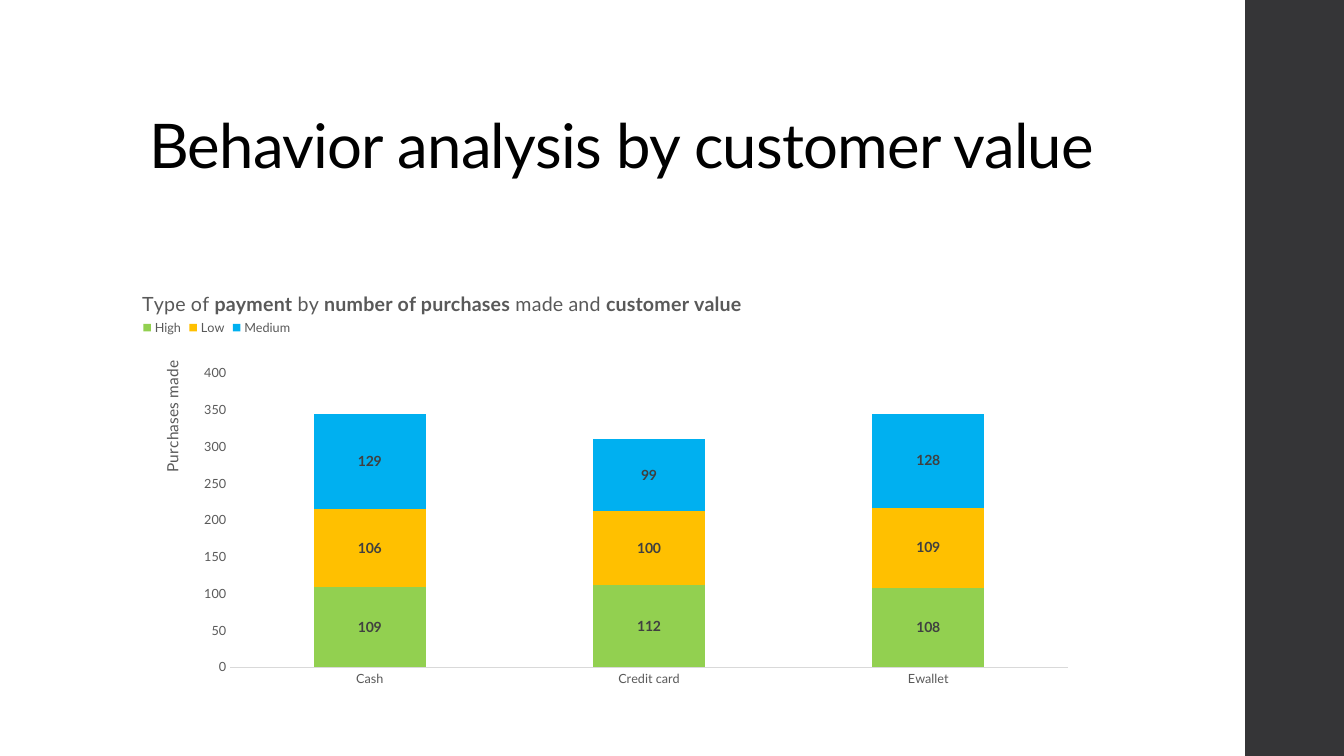
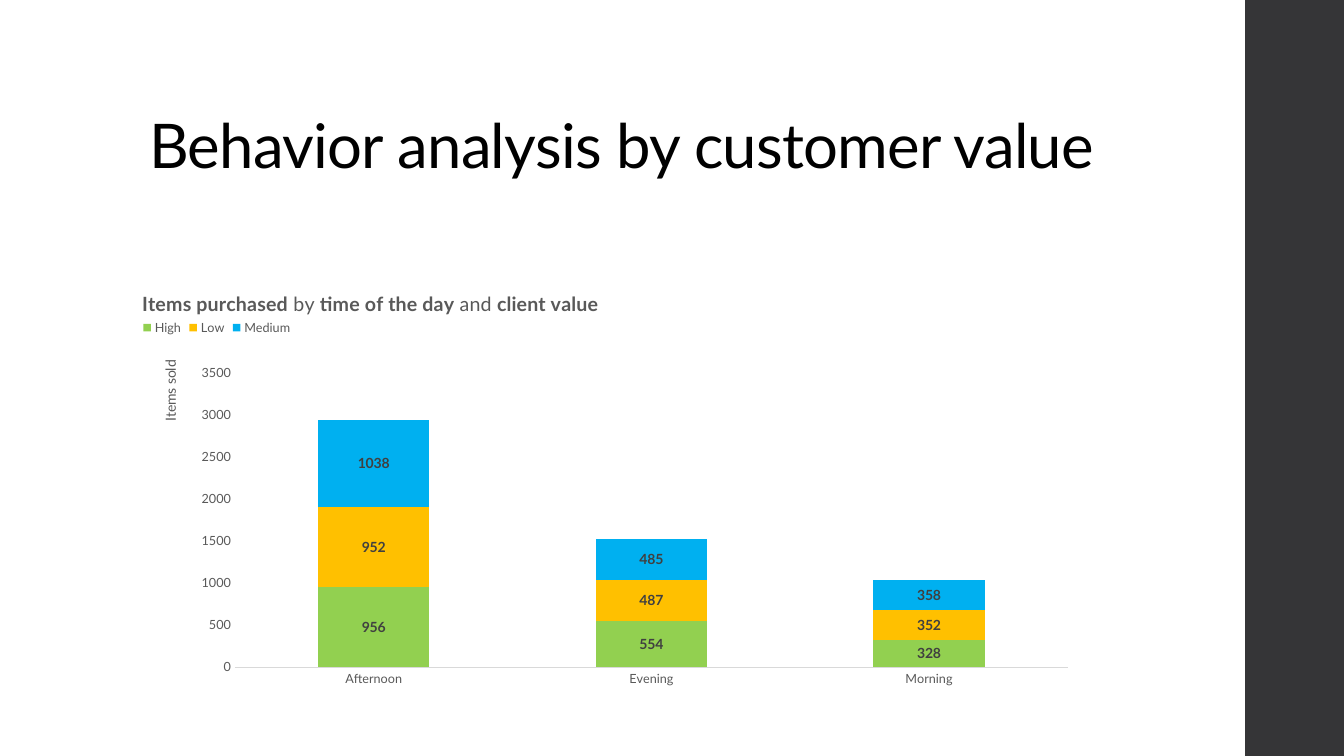
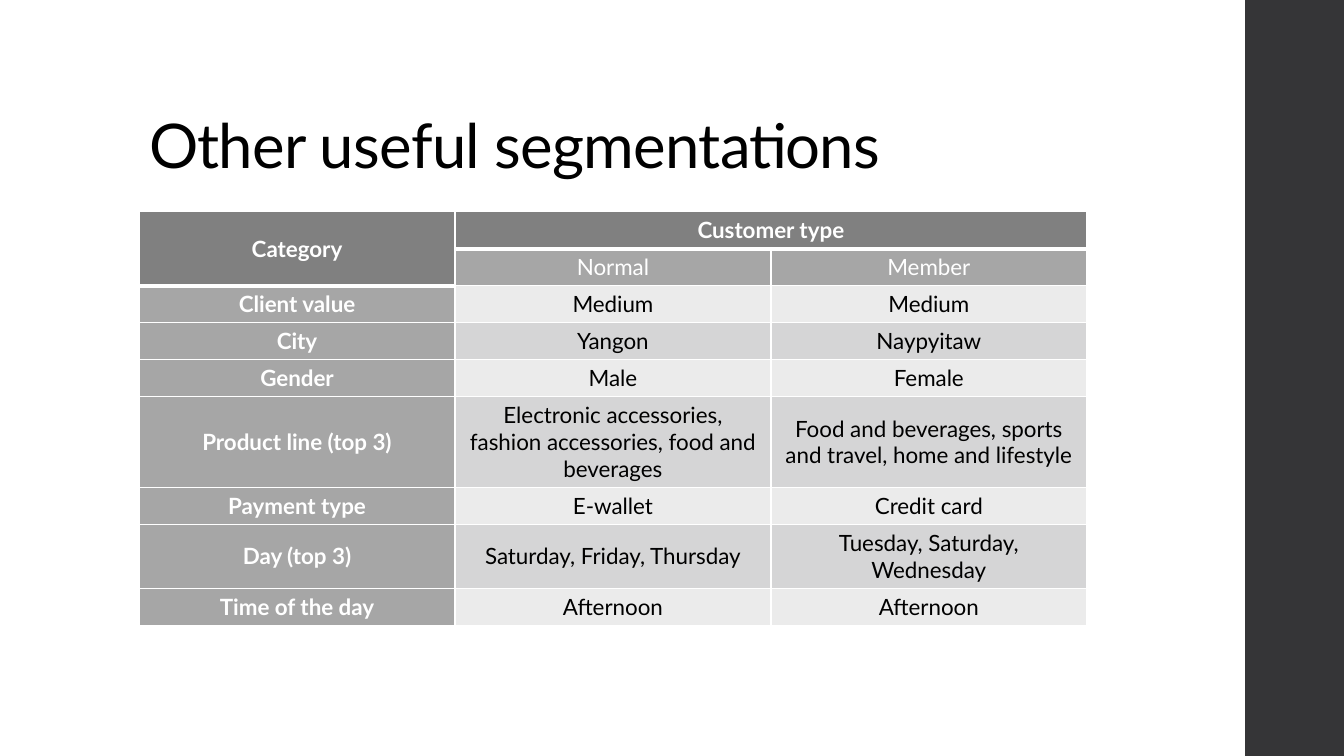
from lxml.etree import SubElement
from pptx import Presentation
from pptx.chart.data import CategoryChartData
from pptx.dml.color import RGBColor
from pptx.enum.chart import XL_CHART_TYPE, XL_LABEL_POSITION, XL_LEGEND_POSITION, XL_TICK_MARK
from pptx.enum.shapes import MSO_SHAPE
from pptx.enum.text import MSO_ANCHOR, PP_ALIGN
from pptx.oxml import parse_xml
from pptx.oxml.ns import nsdecls, qn
from pptx.util import Inches, Pt

FONT = "Lato"
BLACK = RGBColor(0x00, 0x00, 0x00)
WHITE = RGBColor(0xFF, 0xFF, 0xFF)
SIDEBAR = RGBColor(0x35, 0x35, 0x37)
CHART_TEXT = RGBColor(0x59, 0x59, 0x59)
LABEL_TEXT = RGBColor(0x40, 0x40, 0x40)
AXIS_LINE = RGBColor(0xD9, 0xD9, 0xD9)
HEADER = RGBColor(0x80, 0x80, 0x80)
SUBHEADER = RGBColor(0xA6, 0xA6, 0xA6)
BAND_LIGHT = RGBColor(0xEB, 0xEB, 0xEB)
BAND_DARK = RGBColor(0xD5, 0xD5, 0xD6)
VALUE_COLORS = {
    "High": RGBColor(0x92, 0xD0, 0x50),
    "Low": RGBColor(0xFF, 0xC0, 0x00),
    "Medium": RGBColor(0x00, 0xB0, 0xF0),
}
LEFT = Inches(1.38)
CONTENT_WIDTH = Inches(9.4)


def style(font, size, color, bold=False):
    font.name = FONT
    font.size = Pt(size)
    font.bold = bold
    font.color.rgb = color


def place(element, index, **fractions):
    for old in element.findall(qn("c:layout")):
        element.remove(old)
    layout = parse_xml(f"<c:layout {nsdecls('c')}><c:manualLayout/></c:layout>")
    manual = layout[0]
    if "w" in fractions:
        SubElement(manual, qn("c:layoutTarget"), val="inner")
    for axis in "xy":
        SubElement(manual, qn(f"c:{axis}Mode"), val="edge")
    for key, fraction in fractions.items():
        SubElement(manual, qn(f"c:{key}"), val=str(fraction))
    element.insert(index, layout)


class Deck:
    def __init__(self):
        self.presentation = Presentation()
        self.presentation.slide_width = Inches(13.33)
        self.presentation.slide_height = Inches(7.5)
        self.slide = None

    def start_slide(self, heading):
        self.slide = self.presentation.slides.add_slide(self.presentation.slide_layouts[6])
        sidebar = self.slide.shapes.add_shape(
            MSO_SHAPE.RECTANGLE, Inches(12.35), 0, Inches(0.98), Inches(7.5))
        sidebar.shadow.inherit = False
        sidebar.fill.solid()
        sidebar.fill.fore_color.rgb = SIDEBAR
        sidebar.line.fill.background()
        frame = self.slide.shapes.add_textbox(
            LEFT, Inches(0.4), Inches(10.6), Inches(1.45)).text_frame
        frame.word_wrap = True
        frame.vertical_anchor = MSO_ANCHOR.BOTTOM
        paragraph = frame.paragraphs[0]
        paragraph.line_spacing = 0.9
        run = paragraph.add_run()
        run.text = heading
        run._r.get_or_add_rPr().set("spc", "-50")
        style(paragraph.font, 44, BLACK)

    def stacked_chart(self, caption, axis_caption, axis_size, categories, values, plot_left):
        data = CategoryChartData()
        data.categories = categories
        for name, counts in zip(VALUE_COLORS, values):
            data.add_series(name, counts)
        chart = self.slide.shapes.add_chart(
            XL_CHART_TYPE.COLUMN_STACKED, LEFT, Inches(2.76),
            CONTENT_WIDTH, Inches(4.15), data).chart
        style(chart.font, 10, BLACK)

        heading = chart.chart_title.text_frame.paragraphs[0]
        for text, bold in caption:
            run = heading.add_run()
            run.text = text
            style(run.font, 14, CHART_TEXT, bold)
        place(chart.chart_title._element, 1, x=0.0, y=0.02)

        chart.has_legend = True
        chart.legend.position = XL_LEGEND_POSITION.TOP
        chart.legend.include_in_layout = False
        style(chart.legend.font, 9, CHART_TEXT)
        place(chart.legend._element, 1, x=0.0, y=0.09)

        for axis in (chart.category_axis, chart.value_axis):
            axis.major_tick_mark = axis.minor_tick_mark = XL_TICK_MARK.NONE
            axis.has_major_gridlines = False
            style(axis.tick_labels.font, 9, CHART_TEXT)
        chart.category_axis.format.line.color.rgb = AXIS_LINE
        chart.category_axis.format.line.width = Pt(0.75)
        chart.value_axis.format.line.fill.background()
        axis_title = chart.value_axis.axis_title
        paragraph = axis_title.text_frame.paragraphs[0]
        run = paragraph.add_run()
        run.text = axis_caption
        style(run.font, axis_size, CHART_TEXT)
        place(axis_title._element, 1, x=0.02, y=0.19)

        plot = chart.plots[0]
        plot.gap_width = 150
        plot.overlap = 100
        plot.vary_by_categories = False
        for series in plot.series:
            series.format.fill.solid()
            series.format.fill.fore_color.rgb = VALUE_COLORS[series.name]
            labels = series.data_labels
            labels.show_value = True
            labels.position = XL_LABEL_POSITION.CENTER
            style(labels.font, 10, LABEL_TEXT, True)
        place(chart._chartSpace.chart.plotArea, 0,
              x=plot_left, y=0.227, w=round(0.98 - plot_left, 3), h=0.703)

    def cell(self, cell, text, fill, color, bold, top, bottom):
        cell.text = text
        cell.vertical_anchor = MSO_ANCHOR.MIDDLE
        paragraph = cell.text_frame.paragraphs[0]
        paragraph.alignment = PP_ALIGN.CENTER
        style(paragraph.font, 16, color, bold)
        properties = cell._tc.get_or_add_tcPr()
        for side, width in zip("LRTB", (1, 1, top, bottom)):
            line = SubElement(properties, qn(f"a:ln{side}"), w=str(Pt(width)))
            paint = SubElement(line, qn("a:solidFill"))
            SubElement(paint, qn("a:srgbClr"), val=str(WHITE))
        cell.fill.solid()
        cell.fill.fore_color.rgb = fill

    def segment_table(self, rows, heights):
        table = self.slide.shapes.add_table(
            len(rows), 3, LEFT, Inches(2.1), CONTENT_WIDTH, Inches(sum(heights))).table
        table.first_row = table.horz_banding = False
        thick_below = {(1, 0), (0, 1), (0, 2)}
        for r, (row, height) in enumerate(zip(rows, heights)):
            table.rows[r].height = Inches(height)
            for c, text in enumerate(row):
                is_header = r == 0 or (r == 1 and c == 0)
                if is_header:
                    fill = HEADER
                elif r == 1 or c == 0:
                    fill = SUBHEADER
                else:
                    fill = BAND_DARK if r % 2 else BAND_LIGHT
                self.cell(table.cell(r, c), text, fill,
                          WHITE if r < 2 or c == 0 else BLACK,
                          is_header or c == 0,
                          3 if (r - 1, c) in thick_below else 1,
                          3 if (r, c) in thick_below else 1)
        table.cell(0, 0).merge(table.cell(1, 0))
        table.cell(0, 1).merge(table.cell(0, 2))


def main():
    deck = Deck()

    deck.start_slide("Behavior analysis by customer value")
    deck.stacked_chart(
        [("Type of ", False), ("payment", True), (" by ", False),
         ("number of purchases", True), (" made and ", False), ("customer value", True)],
        "Purchases made", 11, ["Cash", "Credit card", "Ewallet"],
        [(109, 112, 108), (106, 100, 109), (129, 99, 128)], 0.096)

    deck.start_slide("Behavior analysis by customer value")
    deck.stacked_chart(
        [("Items purchased", True), (" by ", False), ("time of the day", True),
         (" and ", False), ("client value", True)],
        "Items sold", 10, ["Afternoon", "Evening", "Morning"],
        [(956, 554, 328), (952, 487, 352), (1038, 485, 358)], 0.101)

    deck.start_slide("Other useful segmentations")
    deck.segment_table([
        ("Category", "Customer type", ""),
        ("", "Normal", "Member"),
        ("Client value", "Medium", "Medium"),
        ("City", "Yangon", "Naypyitaw"),
        ("Gender", "Male", "Female"),
        ("Product line (top 3)",
         "Electronic accessories, fashion accessories, food and beverages",
         "Food and beverages, sports and travel, home and lifestyle"),
        ("Payment type", "E-wallet", "Credit card"),
        ("Day (top 3)", "Saturday, Friday, Thursday", "Tuesday, Saturday, Wednesday"),
        ("Time of the day", "Afternoon", "Afternoon"),
    ], [0.36] * 5 + [0.9, 0.36, 0.63, 0.36])

    deck.presentation.save("out.pptx")


if __name__ == "__main__":
    main()
